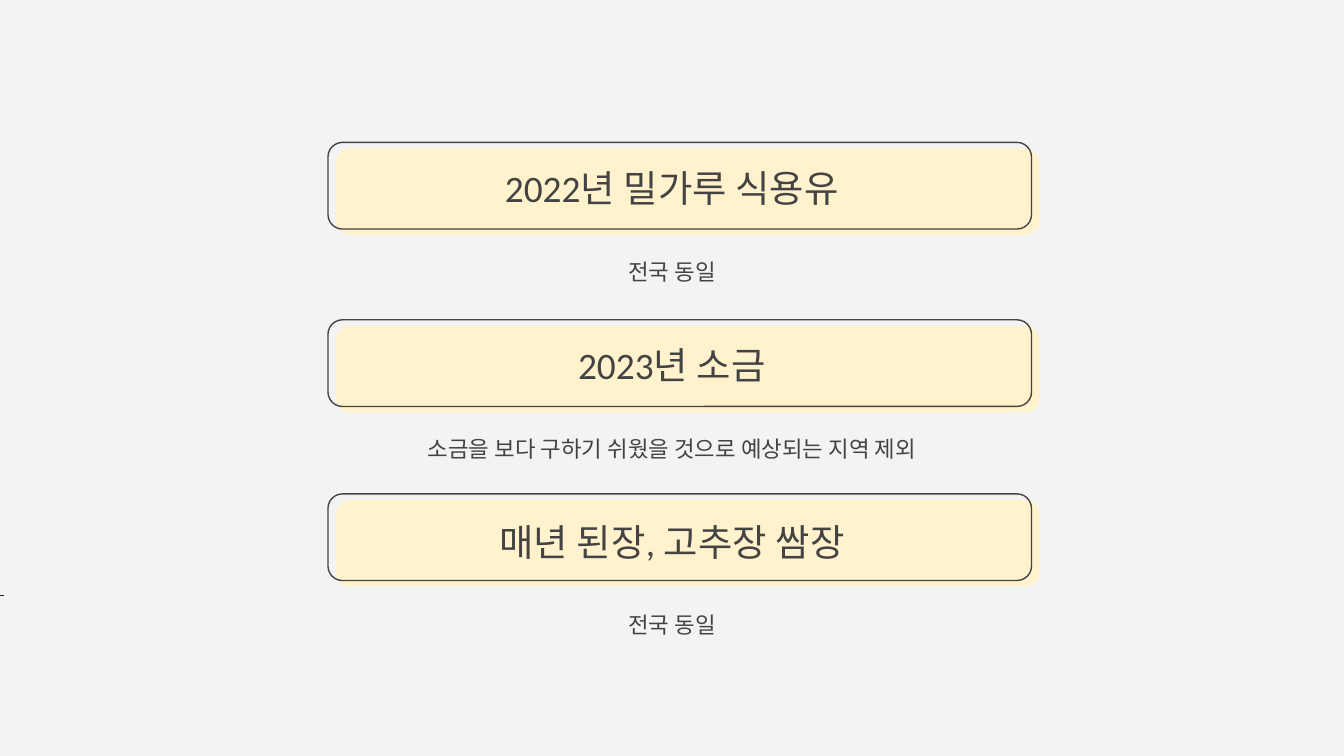
import pptx
import pptx.dml.color
import pptx.enum.shapes
import pptx.enum.text
import pptx.oxml.ns
import pptx.util
from lxml import etree

PX = 4572  # EMU, 200 px to the inch


def px(*lengths):
    return [pptx.util.Emu(length * PX) for length in lengths]


def color(hex_text):
    return pptx.dml.color.RGBColor.from_string(hex_text)


class Page:
    FONT = "Calibri"
    INK = "434343"
    CREAM = "FFF2CC"
    BACKGROUND = "F3F3F3"

    def __init__(self, deck):
        self.slide = deck.slides.add_slide(deck.slide_layouts[6])
        fill = self.slide.background.fill
        fill.solid()
        fill.fore_color.rgb = color(self.BACKGROUND)

    def rounded_box(self, group, left, top, fill=None, line=None):
        kind = pptx.enum.shapes.MSO_SHAPE.ROUNDED_RECTANGLE
        box = group.shapes.add_shape(kind, *px(left, top, 1047, 129))
        box.shadow.inherit = False
        if fill:
            box.fill.solid()
            box.fill.fore_color.rgb = color(fill)
        else:
            box.fill.background()
        if line:
            box.line.color.rgb = color(line)
            box.line.width = pptx.util.Pt(0.75)
        else:
            box.line.fill.background()

    def card(self, top):
        """Cream panel with an outline shifted up and to the left."""
        group = self.slide.shapes.add_group_shape()
        self.rounded_box(group, 500, top + 9, fill=self.CREAM)
        self.rounded_box(group, 488, top, line=self.INK)

    def text(self, words, left, top, width, height, size, anchor, spacing=1.0, after=0):
        box = self.slide.shapes.add_textbox(*px(left, top, width, height))
        frame = box.text_frame
        frame.word_wrap = True
        frame.vertical_anchor = anchor
        frame.margin_left, frame.margin_top, frame.margin_right, frame.margin_bottom = px(20, 20, 20, 20)
        para = frame.paragraphs[0]
        para.alignment = pptx.enum.text.PP_ALIGN.CENTER
        para.line_spacing = spacing
        para.space_after = pptx.util.Pt(after)
        span = para.add_run()
        span.text = words
        span.font.name = self.FONT
        span.font.size = pptx.util.Pt(size)
        span.font.color.rgb = color(self.INK)
        east_asian = etree.SubElement(span.font._element, pptx.oxml.ns.qn("a:ea"))
        east_asian.set("typeface", self.FONT)

    def title(self, words, top):
        self.text(words, 614, top, 772, 152, 20, pptx.enum.text.MSO_ANCHOR.BOTTOM)

    def caption(self, words, top):
        self.text(words, 388, top, 1224, 86, 12, pptx.enum.text.MSO_ANCHOR.TOP, 1.15, 16)

    def line(self, x1, y1, x2, y2, hex_text, width):
        kind = pptx.enum.shapes.MSO_CONNECTOR.STRAIGHT
        line = self.slide.shapes.add_connector(kind, *px(x1, y1, x2, y2))
        line.line.color.rgb = color(hex_text)
        line.line.width = pptx.util.Pt(width)
        etree.SubElement(line._element.spPr, pptx.oxml.ns.qn("a:effectLst"))


def main():
    deck = pptx.Presentation()
    deck.slide_width, deck.slide_height = px(2000, 1125)
    page = Page(deck)
    items = [
        (212, "2022년 밀가루 식용유", "전국 동일"),
        (476, "2023년 소금", "소금을 보다 구하기 쉬웠을 것으로 예상되는 지역 제외"),
        (735, "매년 된장, 고추장 쌈장", "전국 동일"),
    ]
    page.line(0, 886, 6, 886, "1F1F1F", 0.3)
    for row, (card_top, title, caption) in enumerate(items):
        page.card(card_top)
        page.title(title, 180 + 264 * row)
        page.caption(caption, 358 + 263 * row)
    deck.save("out.pptx")


if __name__ == "__main__":
    main()
